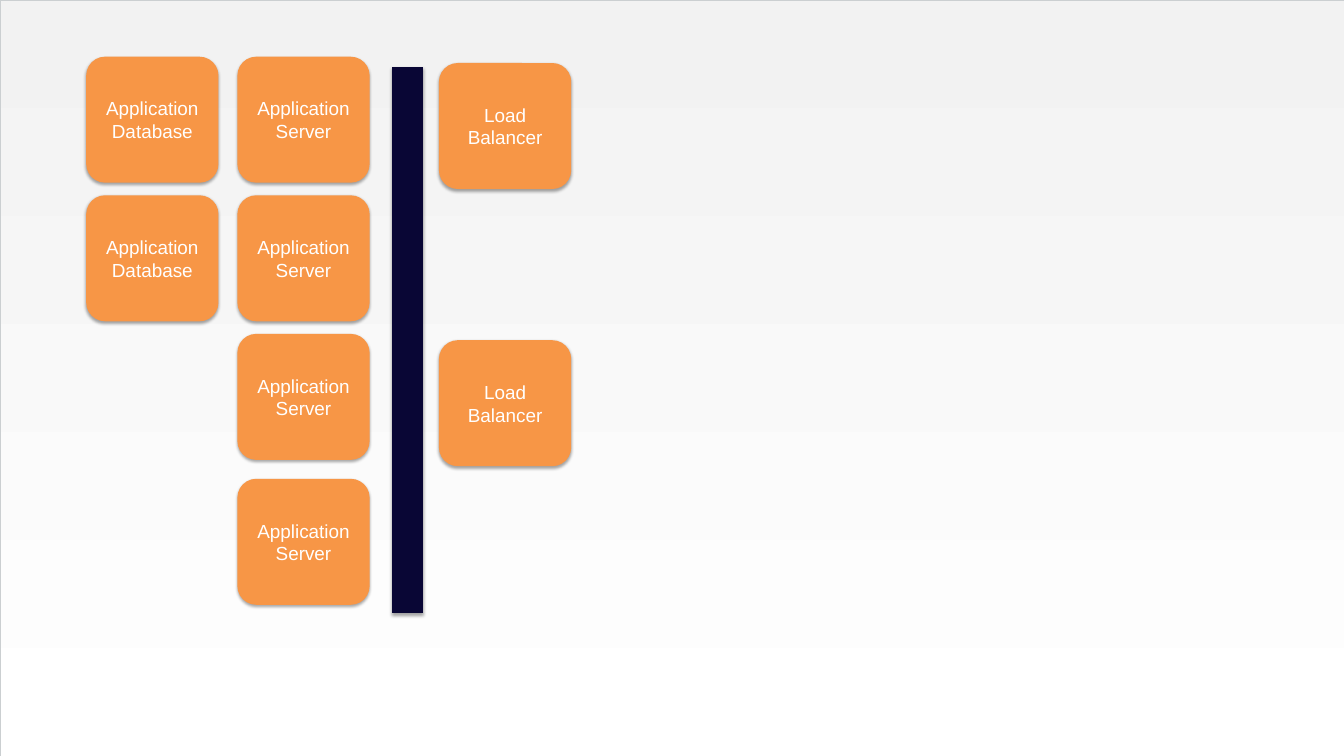
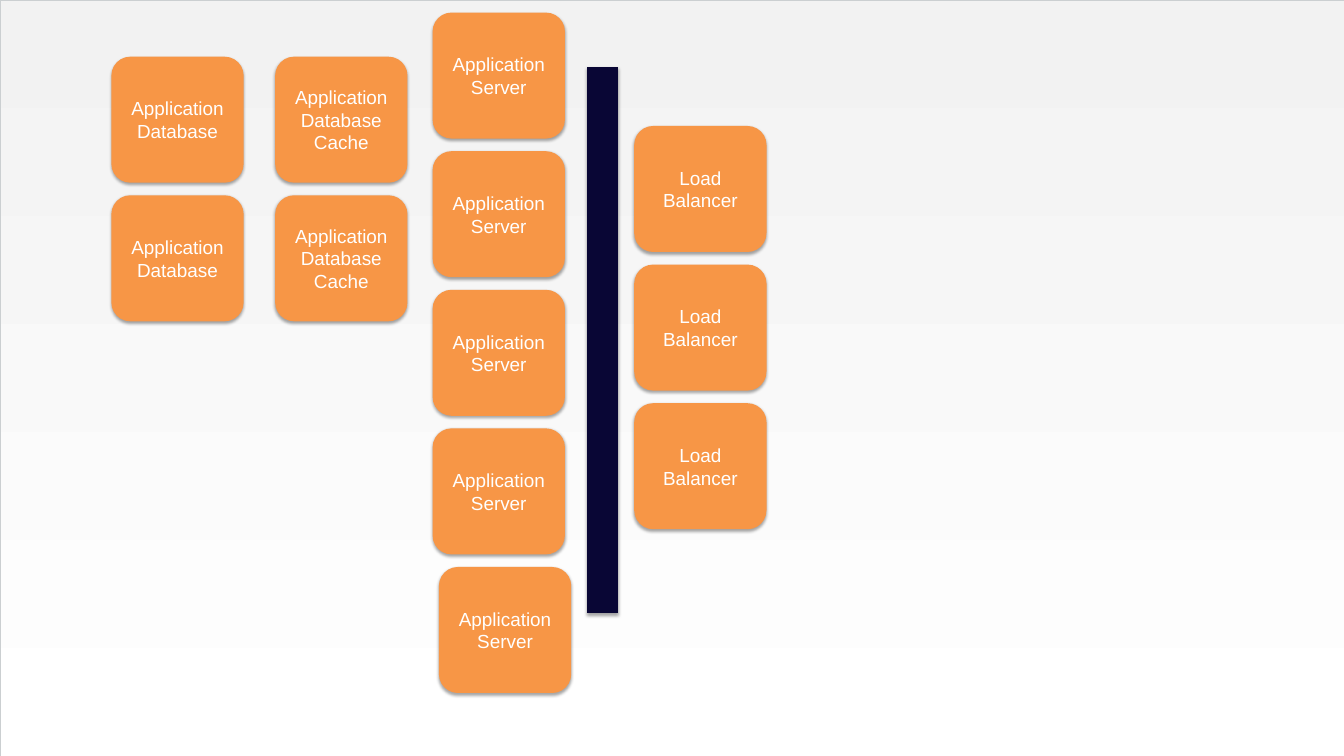
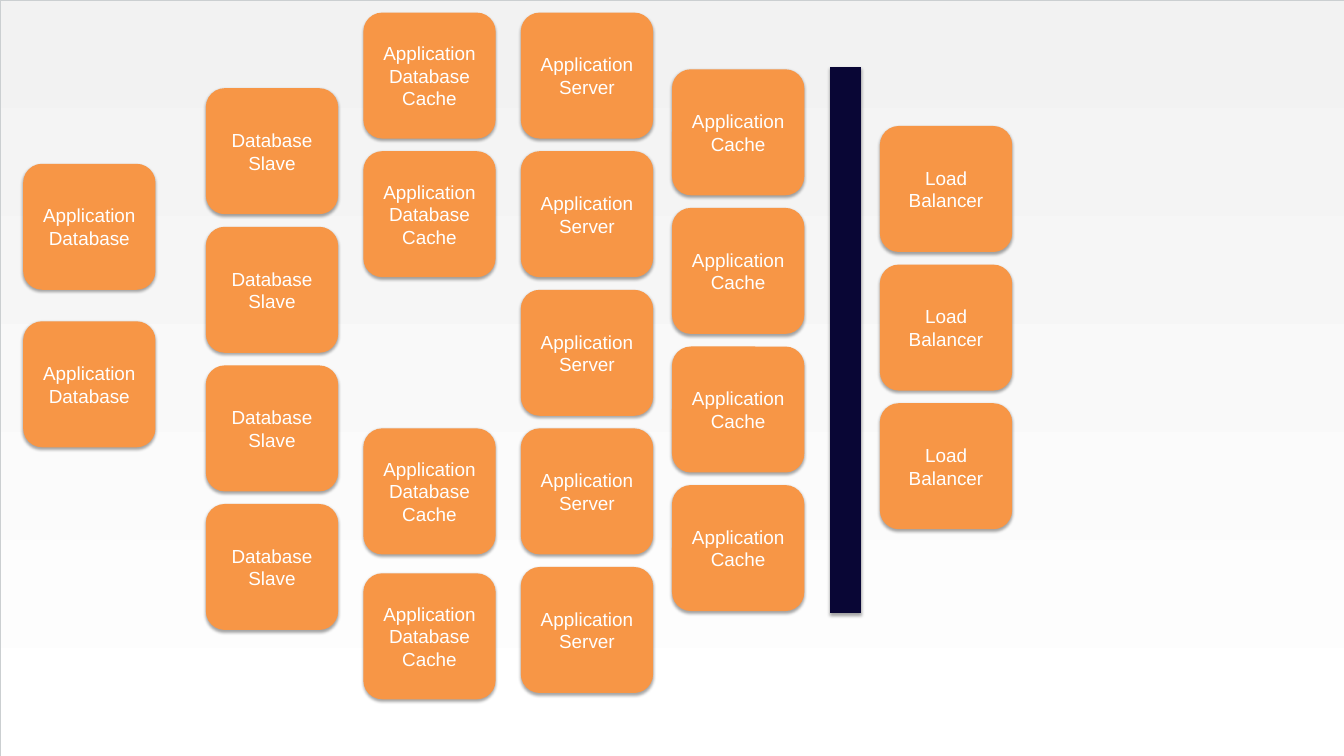
from lxml.etree import SubElement
from pptx import Presentation
from pptx.dml.color import RGBColor
from pptx.enum.shapes import MSO_SHAPE as Preset
from pptx.enum.text import MSO_ANCHOR as Anchor, PP_ALIGN as Align
from pptx.oxml.ns import qn
from pptx.util import Inches, Pt

# Shared look
ORANGE, NAVY, WHITE, PALE, BORDER = "F79646", "090635", "FFFFFF", "F2F2F2", "CBCFD1"
FONT, TEXT_SIZE = "Arial", 18

# Grid: 12 units to the inch; columns count from the slide's centre, rows from its top
UNIT = Inches(1) // 12
BOX_W, BOX_H, ROW_STEP = 21, 20, 22
BAR_LENGTH, BAR_THICKNESS, BAR_MIDDLE = 118, 21, 54

prs = Presentation()
prs.slide_width, prs.slide_height = Inches(17.78), Inches(10)
CENTRE = prs.slide_width // 2


def color(hex_string):
    return RGBColor.from_string(hex_string)


def write(shape, text, size=TEXT_SIZE, ink=WHITE, font=FONT, align=Align.CENTER):
    frame = shape.text_frame
    frame.word_wrap = True
    frame.vertical_anchor = Anchor.MIDDLE
    frame.margin_left = frame.margin_right = frame.margin_top = frame.margin_bottom = 0
    frame.text = text
    for paragraph in frame.paragraphs:
        paragraph.alignment = align
        paragraph.font.size = Pt(size)
        paragraph.font.name = font
        paragraph.font.color.rgb = color(ink)


def rows(first, count):
    return [first + ROW_STEP * i for i in range(count)]


# Background gradient, light grey down to white, for every slide
backdrop = prs.slide_master.background.fill
backdrop.gradient()
backdrop.gradient_angle = 270
for stop, shade in zip(backdrop.gradient_stops, (PALE, WHITE)):
    stop.color.rgb = color(shade)

# Server roles, and which boxes of a tier hold their label as one paragraph
DATABASE, SERVER, BALANCER = "Application Database", "Application Server", "Load Balancer"
DB_CACHE, APP_CACHE, SLAVE = "Application Database Cache", "Application Cache", "Database Slave"
ONE_PARAGRAPH = {DATABASE: [1], SERVER: [1], APP_CACHE: [0],
                 BALANCER: range(3), SLAVE: range(4), DB_CACHE: []}

# Each stage of growth: bar centre, then tiers as (role, column, rows)
stages = [
    (-42, [(DATABASE, -93, rows(9, 2)),
           (SERVER, -69, rows(9, 3) + [76]),
           (BALANCER, -37, [10, 54])]),
    (-11, [(DATABASE, -89, rows(9, 2)),
           (DB_CACHE, -63, rows(9, 2)),
           (SERVER, -38, rows(2, 4)),
           (SERVER, -37, [90]),
           (BALANCER, -6, rows(20, 3))]),
    (27.5, [(DATABASE, -103, [26, 51]),
            (SLAVE, -74, rows(14, 4)),
            (DB_CACHE, -49, rows(2, 2) + [68, 91]),
            (SERVER, -24, rows(2, 5)),
            (APP_CACHE, 0, rows(11, 4)),
            (BALANCER, 33, rows(20, 3))]),
]

for bar_column, tiers in stages:
    slide = prs.slides.add_slide(prs.slide_layouts[6])

    # Slide border
    border = slide.shapes.add_shape(Preset.RECTANGLE, 0, 0, prs.slide_width, prs.slide_height)
    border.shadow.inherit = False
    border.fill.background()
    border.line.color.rgb = color(BORDER)
    border.line.width = Pt(0.25)

    # Bar and server boxes
    parts = [(Preset.MATH_MINUS, NAVY, "", bar_column - BAR_LENGTH / 2,
              BAR_MIDDLE - BAR_THICKNESS / 2, BAR_LENGTH, BAR_THICKNESS)]
    for role, column, tops in tiers:
        for i, top in enumerate(tops):
            label = role if i in ONE_PARAGRAPH[role] else role.replace(" ", "\n")
            parts.append((Preset.ROUNDED_RECTANGLE, ORANGE, label, column, top, BOX_W, BOX_H))

    for preset, fill, label, column, top, width, height in parts:
        part = slide.shapes.add_shape(preset, int(CENTRE + column * UNIT), int(top * UNIT),
                                      width * UNIT, height * UNIT)
        part.fill.solid()
        part.fill.fore_color.rgb = color(fill)
        part.line.fill.background()
        if label:
            part.adjustments[0] = 0.15
            write(part, label)
        else:
            part.rotation = 90

        # Soft shadow straight below
        part.shadow.inherit = False
        effects = part._element.spPr.find(qn("a:effectLst"))
        shadow = SubElement(effects, qn("a:outerShdw"), blurRad=str(Pt(3.1)),
                            dist=str(Pt(1.8)), dir="5400000", rotWithShape="0")
        shade = SubElement(shadow, qn("a:srgbClr"), val="000000")
        SubElement(shade, qn("a:alpha"), val="35000")

prs.save("out.pptx")
